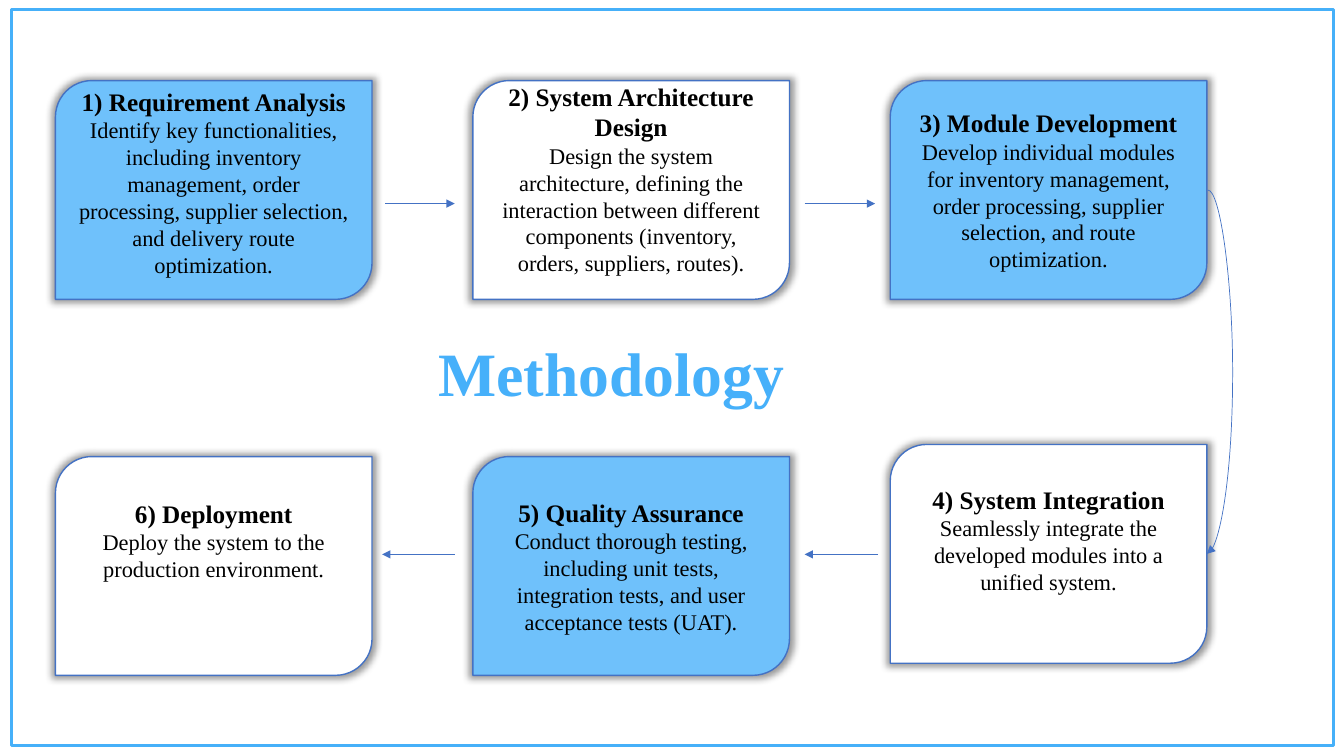
from pptx import Presentation
from pptx import util as u
from pptx.dml.color import RGBColor
from pptx.enum import shapes, text
from pptx.oxml import parse_xml
from pptx.oxml.ns import nsdecls, qn

FONT = "Times New Roman"
SKY, WHITE, BLACK = "6FC1FB", "FFFFFF", "000000"
OUTLINE, FRAME, TITLE = "4472C4", "46B0F9", "46B0FA"

CARD_WIDTH, CARD_HEIGHT = 3.14, 2.17
COLUMNS = [0.55 + 4.14 * column for column in range(3)]
TOP_ROW, BOTTOM_ROW, INTEGRATION_TOP = 0.8, 4.53, 4.41
TOP_ARROWS, BOTTOM_ARROWS = 2.02, 5.5

# left, top, fill, heading, body, space kept free under the text
STEPS = [
    (COLUMNS[0], TOP_ROW, SKY, "1) Requirement Analysis",
     "Identify key functionalities, including inventory management, order processing, "
     "supplier selection, and delivery route optimization.", 0.16),
    (COLUMNS[1], TOP_ROW, WHITE, "2) System Architecture Design",
     "Design the system architecture, defining the interaction between different "
     "components (inventory, orders, suppliers, routes).", 0.22),
    (COLUMNS[2], TOP_ROW, SKY, "3) Module Development",
     "Develop individual modules for inventory management, order processing, "
     "supplier selection, and route optimization.", 0),
    (COLUMNS[2], INTEGRATION_TOP, WHITE, "4) System Integration",
     "Seamlessly integrate the developed modules into a unified system.", 0.29),
    (COLUMNS[1], BOTTOM_ROW, SKY, "5) Quality Assurance",
     "Conduct thorough testing, including unit tests, integration tests, "
     "and user acceptance tests (UAT).", 0),
    (COLUMNS[0], BOTTOM_ROW, WHITE, "6) Deployment",
     "Deploy the system to the production environment.", 0.51),
]

# start x, end x, y
STRAIGHT_ARROWS = [
    (3.82, 4.51, TOP_ARROWS),
    (7.98, 8.68, TOP_ARROWS),
    (8.71, 7.98, BOTTOM_ARROWS),
    (4.51, 3.79, BOTTOM_ARROWS),
]


def color(value):
    return RGBColor.from_string(value)


def add_text(paragraph, words, size, value, bold=False):
    paragraph.alignment = text.PP_ALIGN.CENTER
    run = paragraph.add_run()
    run.text = words
    run.font.name = FONT
    run.font.size = u.Pt(size)
    run.font.bold = bold
    run.font.color.rgb = color(value)


def add_frame(slide, left, top, width, height):
    frame = slide.shapes.add_shape(
        shapes.MSO_SHAPE.RECTANGLE, *map(u.Inches, (left, top, width, height)))
    frame.shadow.inherit = False
    frame.fill.background()
    frame.line.color.rgb = color(FRAME)
    frame.line.width = u.Pt(2.25)


def add_glow(shape):
    """Give the shape a soft grey shadow on all sides."""
    shape.shadow.inherit = False
    effects = shape._element.spPr.find(qn("a:effectLst"))
    effects.append(parse_xml(
        f'<a:outerShdw {nsdecls("a")} blurRad="63500" sx="102000" sy="102000" '
        'algn="ctr" rotWithShape="0"><a:prstClr val="black">'
        '<a:alpha val="40000"/></a:prstClr></a:outerShdw>'))


def add_step(slide, left, top, fill, heading, body, space_below):
    card = slide.shapes.add_shape(
        shapes.MSO_SHAPE.ROUND_2_DIAG_RECTANGLE,
        *map(u.Inches, (left, top, CARD_WIDTH, CARD_HEIGHT)))
    add_glow(card)
    card.fill.solid()
    card.fill.fore_color.rgb = color(fill)
    card.line.color.rgb = color(OUTLINE)
    card.line.width = u.Pt(1)
    frame = card.text_frame
    frame.word_wrap = True
    frame.vertical_anchor = text.MSO_ANCHOR.MIDDLE
    frame.margin_top = 0
    frame.margin_bottom = u.Inches(space_below)
    add_text(frame.paragraphs[0], heading, 18, BLACK, bold=True)
    add_text(frame.add_paragraph(), body, 16, BLACK)


def add_arrow(slide, kind, start_x, start_y, end_x, end_y):
    arrow = slide.shapes.add_connector(
        kind, *map(u.Inches, (start_x, start_y, end_x, end_y)))
    arrow.line.color.rgb = color(OUTLINE)
    arrow.line.width = u.Pt(0.5)
    arrow.line._get_or_add_ln().append(
        parse_xml(f'<a:tailEnd {nsdecls("a")} type="triangle"/>'))
    arrow._element.spPr.append(parse_xml(f'<a:effectLst {nsdecls("a")}/>'))
    return arrow


def add_return_curve(slide, right, start_y, end_y):
    """Lead from the top row to the bottom row, bulging 0.25 inch to the right."""
    width = 0.01
    curve = add_arrow(slide, shapes.MSO_CONNECTOR.CURVE,
                      right + width, start_y, right, end_y)
    bulge = round(-0.25 / width * 100000)
    guides = curve._element.spPr.find(qn("a:prstGeom")).get_or_add_avLst()
    guides.append(parse_xml(
        f'<a:gd {nsdecls("a")} name="adj1" fmla="val {bulge}"/>'))


def add_title(slide, left, top, width, height):
    box = slide.shapes.add_textbox(*map(u.Inches, (left, top, width, height)))
    box.text_frame.word_wrap = True
    add_text(box.text_frame.paragraphs[0], "Methodology", 44, TITLE, bold=True)


def build_methodology(slide):
    add_frame(slide, 0.11, 0.09, 13.12, 7.31)
    for step in STEPS:
        add_step(slide, *step)
    for start_x, end_x, y in STRAIGHT_ARROWS:
        add_arrow(slide, shapes.MSO_CONNECTOR.STRAIGHT, start_x, y, end_x, y)
    add_return_curve(slide, COLUMNS[2] + CARD_WIDTH,
                     TOP_ROW + CARD_HEIGHT / 2, INTEGRATION_TOP + CARD_HEIGHT / 2)
    add_title(slide, 2.73, 3.27, 6.67, 0.84)


def main():
    presentation = Presentation()
    presentation.slide_width = u.Inches(13.33)
    presentation.slide_height = u.Inches(7.5)
    build_methodology(presentation.slides.add_slide(presentation.slide_layouts[6]))
    presentation.save("out.pptx")


if __name__ == "__main__":
    main()
